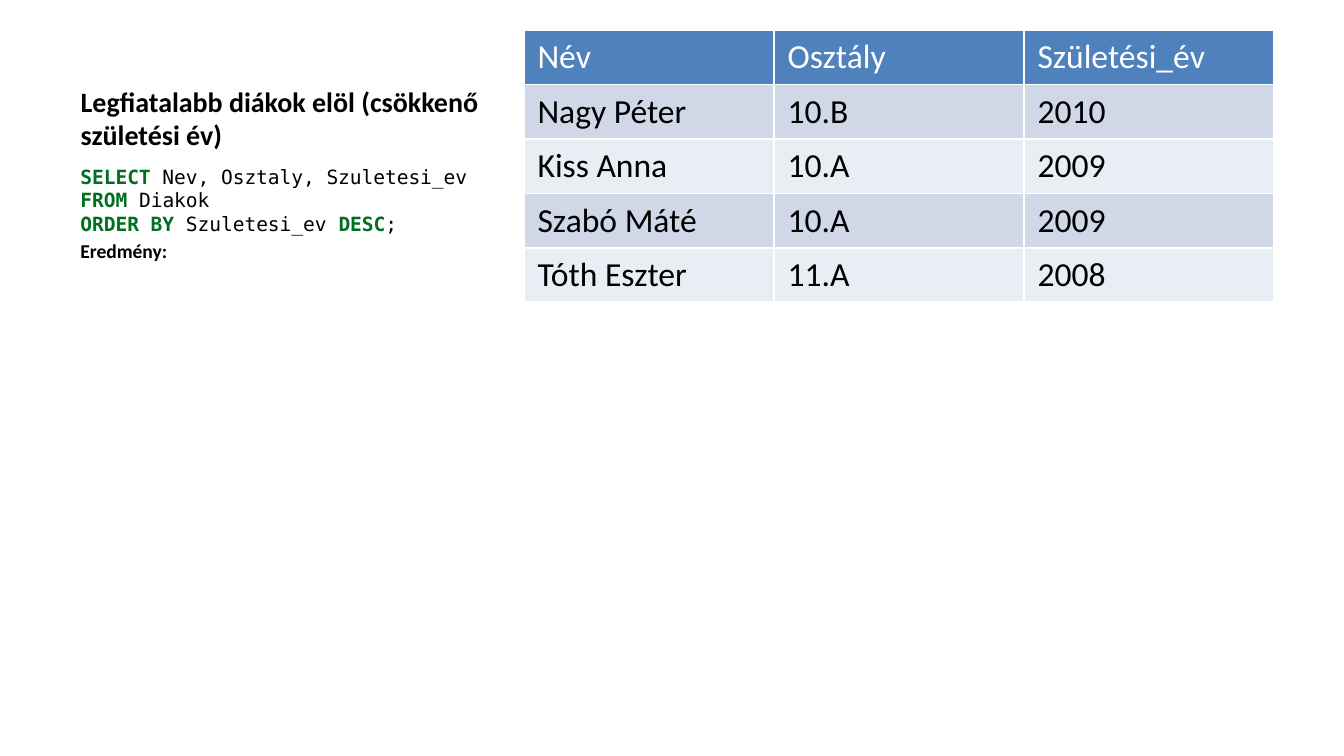
from dataclasses import dataclass
from typing import NamedTuple

from lxml.etree import SubElement
from pptx import Presentation
from pptx.dml.color import RGBColor as Rgb
from pptx.enum.text import MSO_ANCHOR as Anchor, MSO_AUTO_SIZE as AutoSize, PP_ALIGN as Align
from pptx.oxml.ns import qn
from pptx.util import Inches, Pt


@dataclass(frozen=True)
class Theme:
    text_font: str = "Calibri"
    code_font: str = "DejaVu Sans Mono"
    ink: str = "000000"
    keyword: str = "007020"
    white: str = "FFFFFF"
    header: str = "4F81BD"
    bands: tuple[str, str] = ("D0D8E8", "E9EDF4")
    title_size: float = 15
    code_size: float = 10.5
    table_size: float = 18
    border: float = 1


class Area(NamedTuple):
    left: float
    top: float
    width: float
    height: float


class Token(NamedTuple):
    text: str
    keyword: bool = False


class Student(NamedTuple):
    name: str
    school_class: str
    birth_year: str


THEME = Theme()
SLIDE_WIDTH = Inches(10)
SLIDE_HEIGHT = SLIDE_WIDTH * 9 // 16
ROW_SHARE = 0.072
HEADINGS = Student("Név", "Osztály", "Születési_év")
STUDENTS = [
    Student("Nagy Péter", "10.B", "2010"),
    Student("Kiss Anna", "10.A", "2009"),
    Student("Szabó Máté", "10.A", "2009"),
    Student("Tóth Eszter", "11.A", "2008"),
]
TITLE_AREA = Area(0.05, 0.04, 0.329, 0.169)
QUERY_AREA = Area(0.05, 0.209, 0.329, 0.685)
TABLE_AREA = Area(0.39, 0.04, 0.558, ROW_SHARE * (len(STUDENTS) + 1))
QUERY = [
    [Token("SELECT", True), Token(" Nev, Osztaly, Szuletesi_ev")],
    [Token("FROM", True), Token(" Diakok")],
    [Token("ORDER BY", True), Token(" Szuletesi_ev "), Token("DESC", True), Token(";")],
]


def place(area: Area) -> tuple[int, int, int, int]:
    return (
        round(area.left * SLIDE_WIDTH),
        round(area.top * SLIDE_HEIGHT),
        round(area.width * SLIDE_WIDTH),
        round(area.height * SLIDE_HEIGHT),
    )


def style(font, name: str, size: float, color: str, bold: bool = False) -> None:
    font.name, font.size, font.bold = name, Pt(size), bold
    font.color.rgb = Rgb.from_string(color)


def write_title(slide, text: str) -> None:
    title = slide.shapes.title
    title.left, title.top, title.width, title.height = place(TITLE_AREA)
    frame = title.text_frame
    frame.text = text
    frame.auto_size = AutoSize.NONE
    frame.vertical_anchor = Anchor.BOTTOM
    heading = frame.paragraphs[0]
    heading.alignment = Align.LEFT
    style(heading.font, THEME.text_font, THEME.title_size, THEME.ink, True)


def write_query(slide) -> None:
    frame = slide.shapes.add_textbox(*place(QUERY_AREA)).text_frame
    frame.word_wrap = True
    statement = frame.paragraphs[0]
    for index, clause in enumerate(QUERY):
        if index:
            statement.add_line_break()
        for token in clause:
            run = statement.add_run()
            run.text = token.text
            color = THEME.keyword if token.keyword else THEME.ink
            style(run.font, THEME.code_font, THEME.code_size, color, token.keyword)
    result = frame.add_paragraph()
    result.text = "Eredmény:"
    style(result.font, THEME.text_font, THEME.code_size, THEME.ink, True)
    for paragraph in (statement, result):
        paragraph.space_before = Pt(0.2 * THEME.code_size)


def add_borders(cell) -> None:
    properties = cell._tc.get_or_add_tcPr()
    for side in "LRTB":
        line = SubElement(properties, qn(f"a:ln{side}"), w=str(Pt(THEME.border)))
        SubElement(SubElement(line, qn("a:solidFill")), qn("a:srgbClr"), val=THEME.white)


def fill_row(cells, values: Student, fill: str, color: str) -> None:
    for cell, value in zip(cells, values):
        add_borders(cell)
        cell.fill.solid()
        cell.fill.fore_color.rgb = Rgb.from_string(fill)
        cell.text = value
        style(cell.text_frame.paragraphs[0].font, THEME.text_font, THEME.table_size, color)


def add_students(slide) -> None:
    table = slide.shapes.add_table(len(STUDENTS) + 1, len(HEADINGS), *place(TABLE_AREA)).table
    header, *body = table.rows
    fill_row(header.cells, HEADINGS, THEME.header, THEME.white)
    for index, (row, student) in enumerate(zip(body, STUDENTS)):
        fill_row(row.cells, student, THEME.bands[index % 2], THEME.ink)


def main() -> None:
    deck = Presentation()
    deck.slide_width, deck.slide_height = SLIDE_WIDTH, SLIDE_HEIGHT
    title_only = deck.slide_layouts.get_by_name("Title Only")
    slide = deck.slides.add_slide(title_only)
    write_title(slide, "Legfiatalabb diákok elöl (csökkenő születési év)")
    write_query(slide)
    add_students(slide)
    deck.save("out.pptx")


if __name__ == "__main__":
    main()
